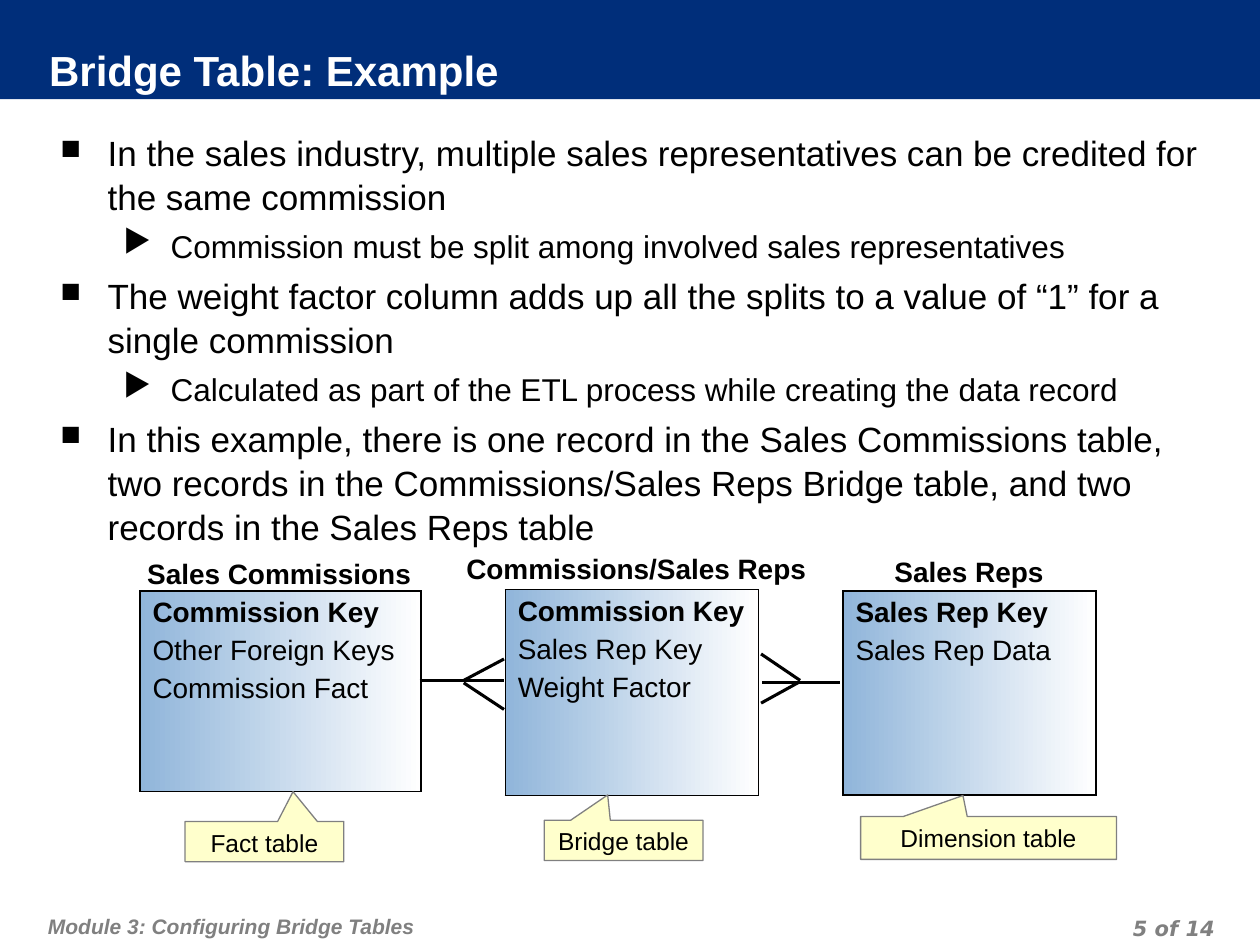
from dataclasses import dataclass

from lxml import etree
from pptx import Presentation
from pptx.dml.color import RGBColor
from pptx.enum.shapes import MSO_CONNECTOR, MSO_SHAPE
from pptx.enum.text import MSO_ANCHOR, PP_ALIGN
from pptx.oxml.ns import qn
from pptx.util import Pt

LEFT, CENTER, RIGHT = PP_ALIGN.LEFT, PP_ALIGN.CENTER, PP_ALIGN.RIGHT
TOP, MIDDLE = MSO_ANCHOR.TOP, MSO_ANCHOR.MIDDLE
RECTANGLE, CALLOUT = MSO_SHAPE.RECTANGLE, MSO_SHAPE.RECTANGULAR_CALLOUT
STRAIGHT = MSO_CONNECTOR.STRAIGHT

NAVY, GRAY, BLACK, WHITE = "002E7A", "808080", "000000", "FFFFFF"
SKY, CREAM = "90B5DA", "FFFFCC"
INSETS = (7.2, 3.6, 7.2, 3.6)


@dataclass
class Area:
    left: float
    top: float
    width: float
    height: float

    def lengths(self) -> list:
        return [Pt(value) for value in (self.left, self.top, self.width, self.height)]


@dataclass
class Style:
    size: float
    color: str = BLACK
    bold: bool = False
    italic: bool = False
    name: str = "Arial"


@dataclass
class Bullet:
    level: int
    character: str
    percent: int
    indent: float
    size: float
    space_before: float


@dataclass
class Entity:
    title: str
    title_area: Area
    table_area: Area
    fields: tuple
    note: str
    note_area: Area
    pointer: tuple


SQUARE = Bullet(0, "■", 80, 27, 20, 5)
TRIANGLE = Bullet(1, "▶", 100, 63, 18, 4.5)
HANGING = 27

POINTS = (
    (SQUARE, "In the sales industry, multiple sales representatives can be credited for the same commission"),
    (TRIANGLE, "Commission must be split among involved sales representatives"),
    (SQUARE, "The weight factor column adds up all the splits to a value of “1” for a single commission"),
    (TRIANGLE, "Calculated as part of the ETL process while creating the data record"),
    (SQUARE, "In this example, there is one record in the Sales Commissions table, two records in the "
             "Commissions/Sales Reps Bridge table, and two records in the Sales Reps table"),
)

ENTITIES = (
    Entity("Sales Commissions", Area(77, 314.6, 165, 26.6), Area(80, 337.7, 160.6, 114.5),
           ("Commission Key", "Other Foreign Keys", "Commission Fact"),
           "Fact table", Area(105.8, 469.4, 90.7, 23), (0.18, -1.24)),
    Entity("Commissions/Sales Reps", Area(259.2, 311.8, 208.8, 26.6), Area(288.7, 337, 144.7, 117.4),
           ("Commission Key", "Sales Rep Key", "Weight Factor"),
           "Bridge table", Area(311, 468.7, 90.7, 23), (-0.1, -1.13)),
    Entity("Sales Reps", Area(504, 313.2, 99.4, 26.6), Area(481.7, 337.7, 144.7, 116.6),
           ("Sales Rep Key", "Sales Rep Data"),
           "Dimension table", Area(491.8, 466.6, 146.2, 24.5), (-0.1, -0.99)),
)

CROWS_FEET = (
    (239.8, 388.8, 288, 388.8),
    (265, 390.2, 288, 405.4),
    (265, 388.8, 288, 376.6),
    (435.6, 390.2, 480.2, 390.2),
    (434.9, 373.7, 457.2, 388.8),
    (434.9, 401.8, 457.2, 389.5),
)


def rgb(value: str) -> RGBColor:
    return RGBColor.from_string(value)


def set_attributes(target, values: dict) -> None:
    for name, value in values.items():
        setattr(target, name, value)


def write(paragraph, text: str, style: Style, **layout) -> None:
    run = paragraph.add_run()
    run.text = text
    set_attributes(run.font, {"size": Pt(style.size), "bold": style.bold,
                              "italic": style.italic, "name": style.name})
    run.font.color.rgb = rgb(style.color)
    set_attributes(paragraph, layout)


def prepare_frame(frame, insets: tuple = INSETS, anchor=TOP, wrap: bool = True):
    sides = ("margin_left", "margin_top", "margin_right", "margin_bottom")
    set_attributes(frame, dict(zip(sides, map(Pt, insets))))
    set_attributes(frame, {"word_wrap": wrap, "vertical_anchor": anchor})
    return frame


def add_text(slide, area: Area, text: str, style: Style, insets: tuple = INSETS,
             anchor=TOP, wrap: bool = True, **layout):
    box = slide.shapes.add_textbox(*area.lengths())
    frame = prepare_frame(box.text_frame, insets, anchor, wrap)
    write(frame.paragraphs[0], text, style, **layout)
    return box


def add_filled_shape(slide, kind, area: Area, color: str):
    shape = slide.shapes.add_shape(kind, *area.lengths())
    shape.shadow.inherit = False
    shape.fill.solid()
    shape.fill.fore_color.rgb = rgb(color)
    shape.line.fill.background()
    return shape


def set_bullet(paragraph, bullet: Bullet) -> None:
    properties = paragraph._p.get_or_add_pPr()
    properties.set("marL", str(Pt(bullet.indent)))
    properties.set("indent", str(-Pt(HANGING)))
    color = etree.SubElement(properties, qn("a:buClr"))
    etree.SubElement(color, qn("a:srgbClr"), val=BLACK)
    etree.SubElement(properties, qn("a:buSzPct"), val=str(bullet.percent * 1000))
    etree.SubElement(properties, qn("a:buChar"), char=bullet.character)


def add_points(slide, area: Area) -> None:
    box = slide.shapes.add_textbox(*area.lengths())
    frame = prepare_frame(box.text_frame, (7.2, 7.2, 7.2, 3.6))
    for index, (bullet, text) in enumerate(POINTS):
        paragraph = frame.add_paragraph() if index else frame.paragraphs[0]
        set_bullet(paragraph, bullet)
        write(paragraph, text, Style(bullet.size), level=bullet.level, line_spacing=1.04,
              space_before=Pt(bullet.space_before if index else 0))


def set_borders(cell, width: float) -> None:
    properties = cell._tc.get_or_add_tcPr()
    for index, side in enumerate(("lnL", "lnR", "lnT", "lnB")):
        line = etree.Element(qn(f"a:{side}"), w=str(Pt(width)))
        fill = etree.SubElement(line, qn("a:solidFill"))
        etree.SubElement(fill, qn("a:srgbClr"), val=BLACK)
        properties.insert(index, line)


def add_entity_table(slide, area: Area, fields: tuple) -> None:
    table = slide.shapes.add_table(1, 1, *area.lengths()).table
    set_attributes(table, {"first_row": False, "horz_banding": False})
    cell = table.cell(0, 0)
    cell.fill.gradient()
    cell.fill.gradient_angle = 180
    for stop, color in zip(cell.fill.gradient_stops, (WHITE, SKY)):
        stop.color.rgb = rgb(color)
    set_borders(cell, 0.85)
    for index, field in enumerate(fields):
        paragraph = cell.text_frame.add_paragraph() if index else cell.text_frame.paragraphs[0]
        write(paragraph, field, Style(16, bold=index == 0), space_before=Pt(4 if index else 0))


def add_note(slide, entity: Entity) -> None:
    shape = add_filled_shape(slide, CALLOUT, entity.note_area, CREAM)
    shape.line.color.rgb = rgb(GRAY)
    shape.line.width = Pt(0.75)
    for index, value in enumerate(entity.pointer):
        shape.adjustments[index] = value
    frame = prepare_frame(shape.text_frame)
    write(frame.paragraphs[0], entity.note, Style(14), alignment=CENTER)


def add_line(slide, ends: tuple) -> None:
    connector = slide.shapes.add_connector(STRAIGHT, *map(Pt, ends))
    connector.line.color.rgb = rgb(BLACK)
    connector.line.width = Pt(1.75)
    etree.SubElement(connector._element.spPr, qn("a:effectLst"))


def main() -> None:
    presentation = Presentation()
    set_attributes(presentation, {"slide_width": Pt(720), "slide_height": Pt(540)})
    slide = presentation.slides.add_slide(presentation.slide_layouts[6])

    add_filled_shape(slide, RECTANGLE, Area(0, 0, 720, 56.7), NAVY)
    add_text(slide, Area(23.8, 511.2, 445, 28.8), "Module 3: Configuring Bridge Tables",
             Style(12, GRAY, True, True), (3.6, 7.2, 3.6, 3.6), line_spacing=Pt(18))
    add_text(slide, Area(530, 519.8, 167.8, 18), "5 of 14",
             Style(12, GRAY, True, True, "DejaVu Sans"), (3.6, 0, 3.6, 0),
             alignment=RIGHT, line_spacing=Pt(18))
    title = add_text(slide, Area(28.1, 27.4, 566.6, 28.8), "Bridge Table: Example",
                     Style(24, WHITE, True), (0, 0, 3.6, 3.6), MIDDLE, alignment=LEFT)
    title.fill.solid()
    title.fill.fore_color.rgb = rgb(NAVY)
    add_points(slide, Area(27.4, 67, 669.6, 445))

    for entity in ENTITIES:
        add_entity_table(slide, entity.table_area, entity.fields)
        add_text(slide, entity.title_area, entity.title, Style(16, bold=True),
                 wrap=False, alignment=CENTER)
        add_note(slide, entity)
    for ends in CROWS_FEET:
        add_line(slide, ends)
    presentation.save("out.pptx")


if __name__ == "__main__":
    main()
